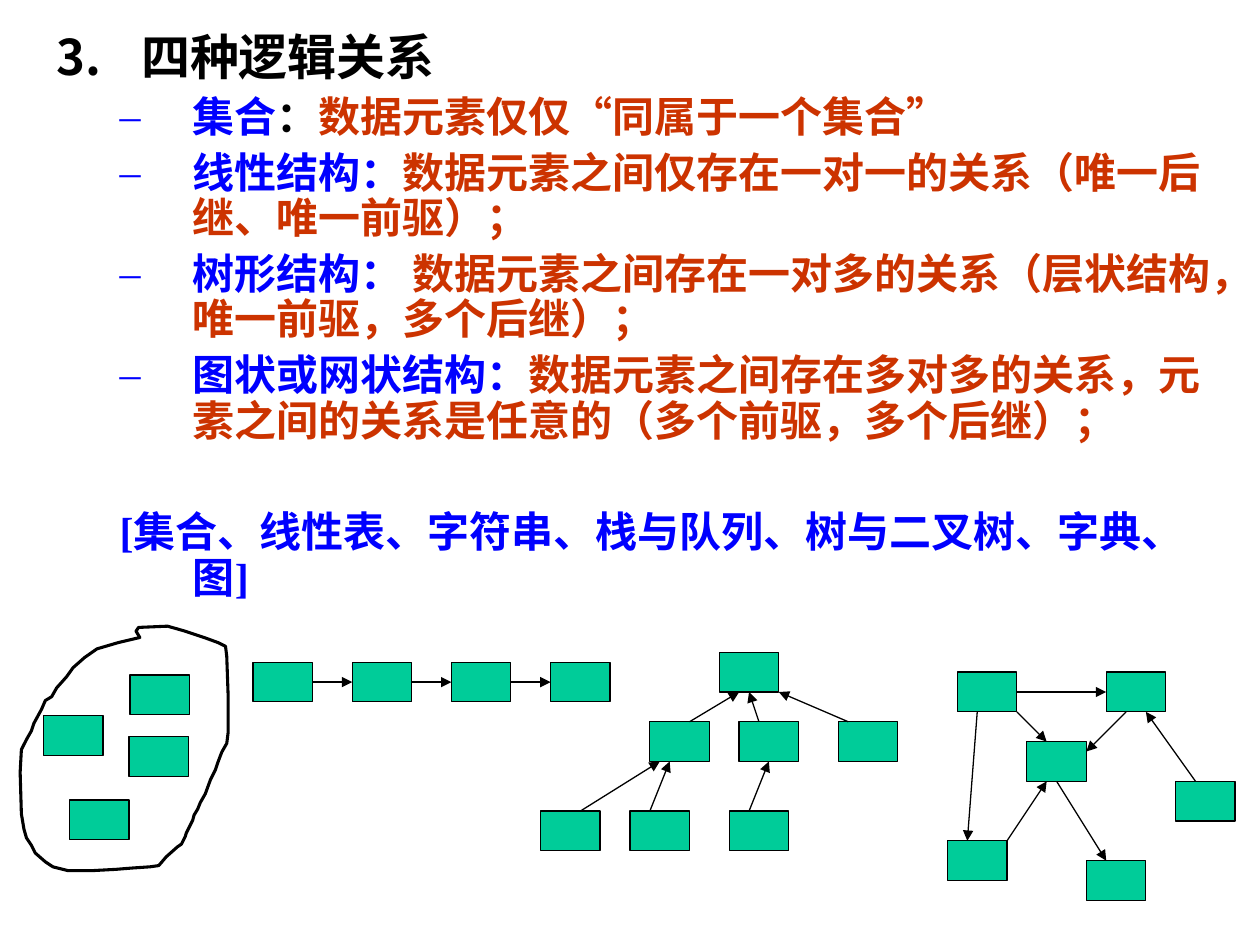
from lxml import etree
from pptx import Presentation, util as u
from pptx.dml.color import RGBColor
from pptx.enum import lang, shapes, text
from pptx.oxml.ns import qn

THEME = {
    "font": "Times New Roman", "heading_size": 28, "item_size": 24,
    "paper": RGBColor.from_string("FFFFFF"), "ink": RGBColor.from_string("000000"),
    "term": RGBColor.from_string("0000FF"), "note": RGBColor.from_string("CC3300"),
    "node": RGBColor.from_string("00CC99"),
    "thin": 0.75, "thick": 1.75,
}

deck = Presentation()
deck.slide_width, deck.slide_height = u.Inches(10), u.Inches(7.5)
page = deck.slides.add_slide(deck.slide_layouts[1])
page.shapes.title.element.getparent().remove(page.shapes.title.element)

# Drawing grid: square cells, a node is 6 columns by 4 rows
CELL = deck.slide_width / 127
LEFT, TOP = 25.5 * CELL, 65.75 * CELL
NODE_COLS, NODE_ROWS = 6, 4


def spot(col, row):
    return int(LEFT + col * CELL), int(TOP + row * CELL)


def set_bullet(para, indent, hanging, *marks):
    props = para._p.get_or_add_pPr()
    props.set("marL", str(u.Inches(indent)))
    props.set("indent", str(-u.Inches(hanging)))
    for tag, attributes in marks:
        etree.SubElement(props, qn(tag), attributes)


# Outline text: level, space before, runs of (wording, colour)
outline = [
    (0, 7, [("四种逻辑关系", "ink")]),
    (1, 6, [("集合", "term"), ("：", "ink"), ("数据元素仅仅“同属于一个集合”", "note")]),
    (1, 6, [("线性结构：", "term"),
            ("数据元素之间仅存在一对一的关系（唯一后继、唯一前驱）；", "note")]),
    (1, 6, [("树形结构： ", "term"),
            ("数据元素之间存在一对多的关系（层状结构，唯一前驱，多个后继）；", "note")]),
    (1, 6, [("图状或网状结构：", "term"),
            ("数据元素之间存在多对多的关系，元素之间的关系是任意的（多个前驱，多个后继）；", "note")]),
    (1, 38, [("[集合、线性表、字符串、栈与队列、树与二叉树、字典、图]", "term")]),
]
body = page.placeholders[1]
place = {"left": 0.35, "top": 0.21, "width": 9.42, "height": 4.75}
for name, inches in place.items():
    setattr(body, name, u.Inches(inches))
body.fill.solid()
body.fill.fore_color.rgb = THEME["paper"]
frame = body.text_frame
frame.word_wrap = True
frame.auto_size = text.MSO_AUTO_SIZE.NONE
frame.vertical_anchor = text.MSO_ANCHOR.TOP

for number, (level, before, spans) in enumerate(outline):
    para = frame.paragraphs[0] if number == 0 else frame.add_paragraph()
    layout = {"level": level, "line_spacing": 0.9, "space_before": u.Pt(before),
              "space_after": u.Pt(0), "alignment": text.PP_ALIGN.LEFT}
    for name, value in layout.items():
        setattr(para, name, value)
    if level == 0:
        set_bullet(para, 0.67, 0.67, ("a:buFontTx", {}),
                   ("a:buAutoNum", {"type": "arabicPeriod", "startAt": "3"}))
    elif number == len(outline) - 1:
        set_bullet(para, 1.08, 0.58, ("a:buNone", {}))
    else:
        set_bullet(para, 1.08, 0.58, ("a:buFont", {"typeface": THEME["font"]}),
                   ("a:buChar", {"char": "–"}))
    style = {"name": THEME["font"], "bold": True,
             "size": u.Pt(THEME["item_size" if level else "heading_size"]),
             "language_id": lang.MSO_LANGUAGE_ID.SIMPLIFIED_CHINESE}
    for wording, colour in spans:
        span = para.add_run()
        span.text = wording
        span.font.color.rgb = THEME[colour]
        for name, value in style.items():
            setattr(span.font, name, value)

# Diagrams: node corners and arrows, both in (column, row)
chain = {
    "nodes": [(col, 1) for col in range(0, 40, 10)],
    "arrows": [((col + NODE_COLS, 3), (col + 10, 3)) for col in range(0, 30, 10)],
}
tree = {
    "nodes": [(47, 0), (40, 7), (49, 7), (59, 7), (29, 16), (38, 16), (48, 16)],
    "arrows": [((44, 7), (49, 4)), ((51, 7), (50, 4)), ((60, 7), (53, 4)),
               ((33, 16), (41, 11)), ((40, 16), (42, 11)), ((50, 16), (52, 11))],
}
graph = {
    "nodes": [(86, 2), (78, 9), (71, 2), (93, 13), (70, 19), (84, 21)],
    "arrows": [((77, 6), (80, 9)), ((77, 4), (86, 4)), ((88, 6), (84, 10)),
               ((73, 6), (72, 19)), ((76, 19), (80, 13)), ((81, 13), (86, 21)),
               ((95, 13), (90, 6))],
}
collection = {
    "nodes": [(-21.1, 6.4), (-18.5, 14.9), (-12.4, 2.3), (-12.5, 8.5)],
    "arrows": [],
}
for diagram in (chain, tree, graph, collection):
    group = page.shapes.add_group_shape()
    for corner in diagram["nodes"]:
        node = group.shapes.add_shape(shapes.MSO_SHAPE.RECTANGLE, *spot(*corner),
                                      int(NODE_COLS * CELL), int(NODE_ROWS * CELL))
        node.shadow.inherit = False
        node.fill.solid()
        node.fill.fore_color.rgb = THEME["node"]
        node.line.color.rgb = THEME["ink"]
        node.line.width = u.Pt(THEME["thin"])
    for start, end in diagram["arrows"]:
        arrow = group.shapes.add_connector(shapes.MSO_CONNECTOR.STRAIGHT,
                                           *spot(*start), *spot(*end))
        arrow.line.color.rgb = THEME["ink"]
        arrow.line.width = u.Pt(THEME["thin"])
        etree.SubElement(arrow.line._get_or_add_ln(), qn("a:tailEnd"), {"type": "triangle"})
        etree.SubElement(arrow._element.spPr, qn("a:effectLst"))

# Hand-drawn boundary round the collection, in hundredths of an inch
boundary = [
    (111, 506), (94, 510), (77, 515), (67, 522), (58, 530), (53, 537), (45, 546),
    (41, 553), (36, 556), (33, 563), (27, 574), (25, 580), (21, 587), (17, 595),
    (16, 613), (17, 646), (19, 658), (21, 665), (25, 671), (28, 677), (36, 684),
    (42, 688), (54, 691), (73, 691), (92, 690), (104, 689), (119, 688), (126, 687),
    (132, 680), (141, 672), (144, 670), (147, 664), (148, 661), (153, 651),
    (154, 647), (157, 642), (159, 637), (163, 630), (167, 619), (171, 611),
    (173, 605), (176, 597), (180, 590), (181, 582), (181, 550), (180, 521),
    (179, 513), (173, 510), (162, 506), (147, 501), (140, 499), (133, 497),
    (110, 498), (108, 501),
]
builder = group.shapes.build_freeform(*boundary[0], scale=u.Inches(0.01))
builder.add_line_segments(boundary[1:], close=True)
outline_shape = builder.convert_to_shape()
outline_shape.shadow.inherit = False
outline_shape.fill.background()
outline_shape.line.color.rgb = THEME["ink"]
outline_shape.line.width = u.Pt(THEME["thick"])

deck.save("out.pptx")
